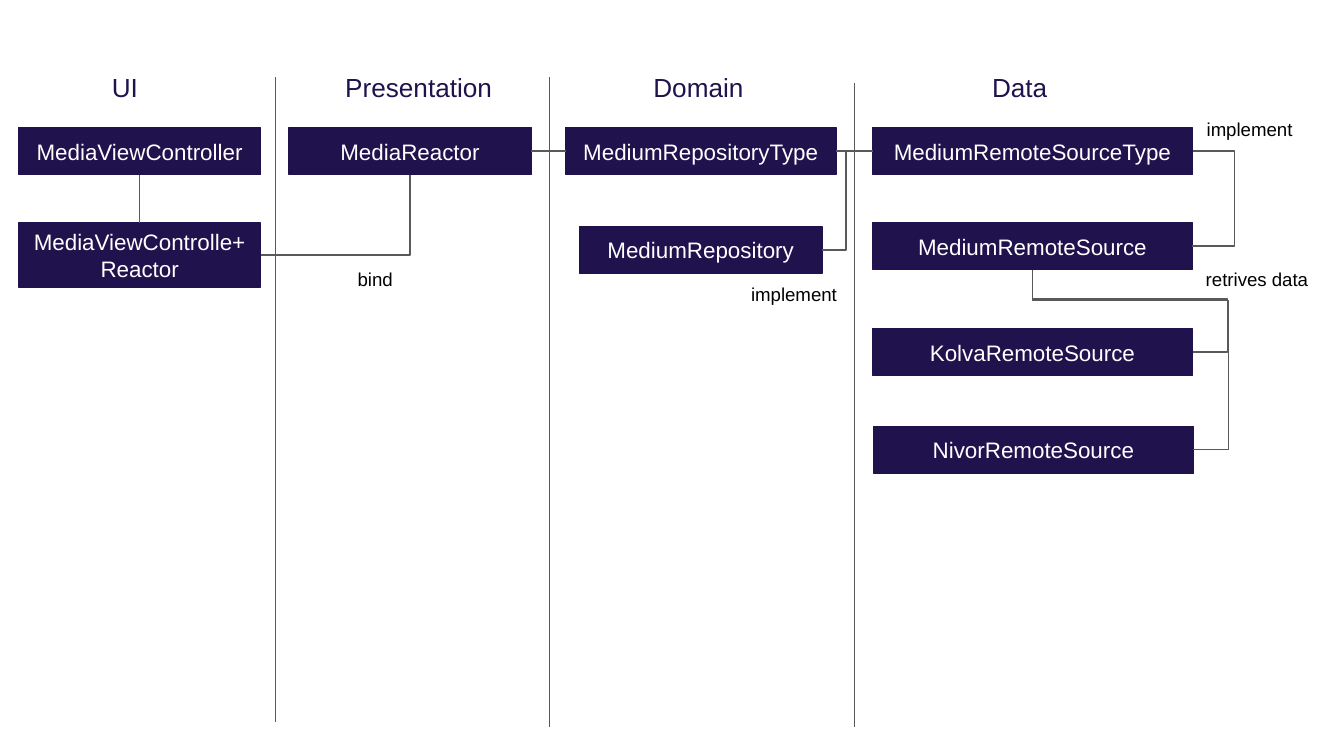
"""Draw the layers of a media app, from UI to data, as linked boxes."""
import dataclasses

import pptx
import pptx.dml.color
import pptx.enum.shapes
import pptx.enum.text
import pptx.oxml.xmlchemy
import pptx.util


@dataclasses.dataclass(frozen=True)
class Theme:
    ink: str = "20124D"
    pale: str = "FFFFFF"
    dark: str = "000000"
    grey: str = "595959"
    font: str = "Arial"
    head: int = 14
    body: int = 12
    note: int = 10
    rule: float = 0.75


THEME = Theme()
COLS, ROWS = 100, 56.25
ROW = 3.5
TOP, MID = 9.5, 11.25
HEADS = [("UI", 7.33, 6.1), ("Presentation", 24.7, 14),
         ("Domain", 47.63, 14), ("Data", 72.83, 14)]
WALLS = [(20.5, 5.75, 53.7), (40.9, 5.75, 54.1), (63.6, 6.2, 54.1)]
BOXES = [
    ("MediaViewController", 1.4, TOP, 18, ROW),
    ("MediaViewControlle+Reactor", 1.4, 16.6, 18, 4.75),
    ("MediaReactor", 21.5, TOP, 18.03, ROW),
    ("MediumRepositoryType", 42.1, TOP, 20.1, ROW),
    ("MediumRepository", 43.13, 16.85, 18.03, ROW),
    ("MediumRemoteSourceType", 64.93, TOP, 23.8, ROW),
    ("MediumRemoteSource", 64.93, 16.57, 23.8, ROW),
    ("KolvaRemoteSource", 64.93, 24.45, 23.8, ROW),
    ("NivorRemoteSource", 65, 31.72, 23.8, ROW),
]
NOTES = [("implement", 88.8, 7.95, 9.6), ("implement", 54.9, 20.2, 9.6),
         ("retrives data", 88.73, 19.1, 12.8), ("bind", 25.63, 19.1, 5.6)]
LINKS = [((10.4, 13), (10.4, 16.6)), ((39.53, MID), (42.1, MID)),
         ((62.2, MID), (64.93, MID))]
BENDS = [
    ((88.7, 18.32), (88.8, MID), [91.9]),
    ((61.16, 18.6), (62.2, MID), [62.95]),
    ((19.4, 18.98), (30.5, 13), []),
    ((88.73, 26.2), (76.83, 20.07), [91.35, 22.26]),
    ((88.8, 33.47), (76.83, 20.07), [91.4, 22.35]),
]


def unit(*vals):
    """Turn grid steps of a tenth of an inch into lengths."""
    return [pptx.util.Inches(val / 10) for val in vals]


def tint(code):
    """Turn a hex code into a colour."""
    return pptx.dml.color.RGBColor.from_string(code)


def apply(item, form):
    """Set each attribute named in the dict."""
    for name, val in form.items():
        setattr(item, name, val)


def write(shape, text, size, code, **form):
    """Put one styled paragraph in a shape."""
    frame = shape.text_frame
    inset = pptx.util.Inches(0.1)
    sides = ("left", "right", "top", "bottom")
    apply(frame, {f"margin_{side}": inset for side in sides})
    apply(frame, {"word_wrap": True, **form})
    para = frame.paragraphs[0]
    run = para.add_run()
    run.text = text
    apply(run.font, {"name": THEME.font, "size": pptx.util.Pt(size)})
    run.font.color.rgb = tint(code)
    return para


def label(slide, text, left, top, wide, size, code):
    """Add a line of free text."""
    shape = slide.shapes.add_textbox(*unit(left, top, wide, ROW))
    write(shape, text, size, code)


def stroke(line, code):
    """Style a line or an outline."""
    line.color.rgb = tint(code)
    line.width = pptx.util.Pt(THEME.rule)


def box(slide, text, *place):
    """Add a filled box with centred text."""
    kind = pptx.enum.shapes.MSO_SHAPE.RECTANGLE
    shape = slide.shapes.add_shape(kind, *unit(*place))
    shape.shadow.inherit = False
    shape.fill.solid()
    shape.fill.fore_color.rgb = tint(THEME.ink)
    stroke(shape.line, THEME.ink)
    anchor = pptx.enum.text.MSO_ANCHOR.MIDDLE
    para = write(shape, text, THEME.body, THEME.pale, vertical_anchor=anchor)
    para.alignment = pptx.enum.text.PP_ALIGN.CENTER


def link(slide, start, end, kind=pptx.enum.shapes.MSO_CONNECTOR.STRAIGHT):
    """Add a plain connector between two grid points."""
    line = slide.shapes.add_connector(kind, *unit(*start, *end))
    stroke(line.line, THEME.grey)
    props = line._element.spPr
    props.append(pptx.oxml.xmlchemy.OxmlElement("a:effectLst"))
    return props


def bend(slide, start, end, turns):
    """Add an elbow whose turns are given as x, then y."""
    props = link(slide, start, end, pptx.enum.shapes.MSO_CONNECTOR.ELBOW)
    shape = props.prstGeom
    shape.set("prst", f"bentConnector{len(turns) + 2}")
    shape.rewrite_guides([
        (f"adj{num + 1}", round(100000 * (turn - a) / (b - a)))
        for num, (turn, a, b) in enumerate(zip(turns, start, end))])


def main():
    """Build and save the slide."""
    deck = pptx.Presentation()
    wide, high = unit(COLS, ROWS)
    apply(deck, {"slide_width": wide, "slide_height": high})
    slide = deck.slides.add_slide(deck.slide_layouts[6])
    for left, top, end in WALLS:
        link(slide, (left, top), (left, end))
    for text, left, span in HEADS:
        label(slide, text, left, 4.3, span, THEME.head, THEME.ink)
    for item in BOXES:
        box(slide, *item)
    for ends in LINKS:
        link(slide, *ends)
    for route in BENDS:
        bend(slide, *route)
    for note in NOTES:
        label(slide, *note, THEME.note, THEME.dark)
    deck.save("out.pptx")


if __name__ == "__main__":
    main()
